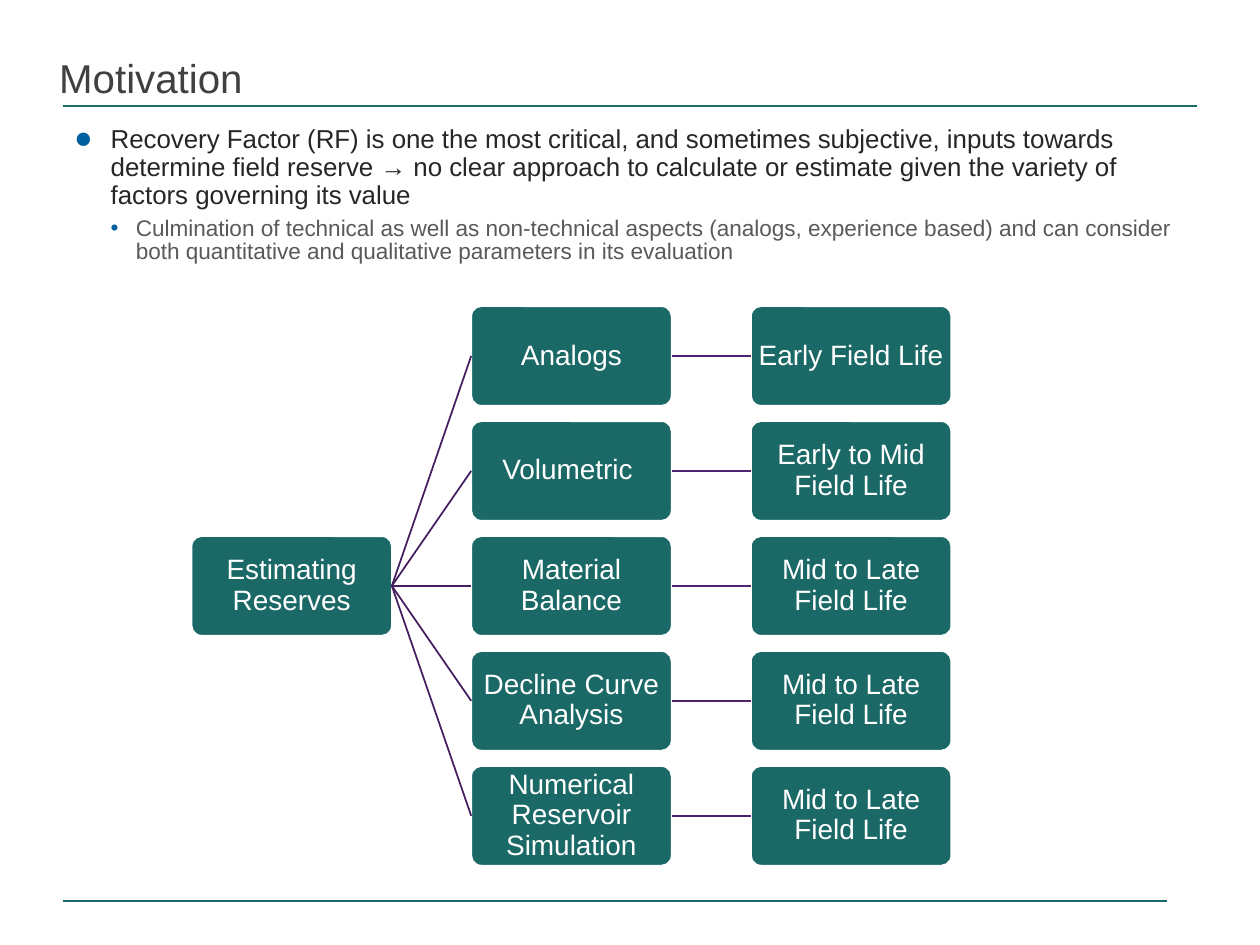
from lxml.etree import SubElement
from pptx import Presentation
from pptx.dml.color import RGBColor
from pptx.enum.shapes import MSO_CONNECTOR as Line, MSO_SHAPE as Shape
from pptx.enum.text import MSO_ANCHOR as Anchor, MSO_AUTO_SIZE as Fit, PP_ALIGN as Align
from pptx.oxml.ns import qn
from pptx.util import Inches, Pt

TEAL = RGBColor(0x1B, 0x69, 0x67)
PLUM = RGBColor(0x44, 0x1E, 0x61)
VIOLET = RGBColor(0x4D, 0x22, 0x6E)
BLUE = RGBColor(0x00, 0x60, 0x9F)
WHITE = RGBColor(0xFF, 0xFF, 0xFF)
INK = RGBColor(0x26, 0x26, 0x26)
DARK = RGBColor(0x40, 0x40, 0x40)
GREY = RGBColor(0x59, 0x59, 0x59)

BOX_W, BOX_H = 1.59, 0.79
COL_X = [1.52, 3.74, 5.96]
TOP, STEP = 2.43, 0.9125

POINTS = [
    # text, size, colour, indent, hang, line spacing, space before, bullet, bullet size
    ("Recovery Factor (RF) is one the most critical, and sometimes subjective, "
     "inputs towards determine field reserve → no clear approach to calculate or "
     "estimate given the variety of factors governing its value",
     14.8, INK, 0.29, 0.29, 0.9, 0, "●", 120),
    ("Culmination of technical as well as non-technical aspects (analogs, "
     "experience based) and can consider both quantitative and qualitative "
     "parameters in its evaluation",
     12.9, GREY, 0.49, 0.2, 0.85, 5, "•", 100),
]
METHODS = [
    ("Analogs", "Early Field Life"),
    ("Volumetric ", "Early to Mid Field Life"),
    ("Material Balance", "Mid to Late Field Life"),
    ("Decline Curve Analysis", "Mid to Late Field Life"),
    ("Numerical Reservoir Simulation", "Mid to Late Field Life"),
]


class Deck:
    def __init__(self, font):
        self.font = font
        self.prs = Presentation()
        self.prs.slide_width, self.prs.slide_height = Inches(10), Inches(7.5)
        self.slide = self.prs.slides.add_slide(self.prs.slide_layouts[5])
        self.shapes = self.slide.shapes

    def style(self, para, size, color, spacing):
        para.line_spacing = spacing
        for run in para.runs:
            run.font.name = self.font
            run.font.size = Pt(size)
            run.font.color.rgb = color

    def title(self, text, x, y, w, h):
        title = self.shapes.title
        title.left, title.top, title.width, title.height = map(Inches, (x, y, w, h))
        frame = title.text_frame
        frame.text = text
        frame.auto_size = Fit.NONE
        frame.vertical_anchor = Anchor.BOTTOM
        frame.margin_top = Inches(0.08)
        para = frame.paragraphs[0]
        para.alignment = Align.LEFT
        self.style(para, 23, DARK, 0.9)

    def bullet(self, para, char, scale, indent, hang):
        props = para._p.get_or_add_pPr()
        props.set("marL", str(Inches(indent)))
        props.set("indent", str(-Inches(hang)))
        color = SubElement(props, qn("a:buClr"))
        SubElement(color, qn("a:srgbClr"), val=str(BLUE))
        SubElement(props, qn("a:buSzPct"), val=str(scale * 1000))
        SubElement(props, qn("a:buFont"), typeface=self.font)
        SubElement(props, qn("a:buChar"), char=char)

    def points(self, items, x, y, w, h):
        frame = self.shapes.add_textbox(*map(Inches, (x, y, w, h))).text_frame
        frame.word_wrap = True
        frame.text = "\n".join(item[0] for item in items)
        for para, item in zip(frame.paragraphs, items):
            _, size, color, indent, hang, spacing, before, char, scale = item
            self.bullet(para, char, scale, indent, hang)
            para.space_before = Pt(before)
            self.style(para, size, color, spacing)

    def box(self, text, x, y):
        box = self.shapes.add_shape(
            Shape.ROUNDED_RECTANGLE, *map(Inches, (x, y, BOX_W, BOX_H)))
        box.adjustments[0] = 0.1
        box.shadow.inherit = False
        box.fill.solid()
        box.fill.fore_color.rgb = TEAL
        box.line.color.rgb = WHITE
        box.line.width = Pt(1)
        frame = box.text_frame
        frame.margin_left = frame.margin_right = Inches(0.01)
        frame.margin_top = frame.margin_bottom = Inches(0.01)
        frame.word_wrap = True
        frame.vertical_anchor = Anchor.MIDDLE
        frame.text = text
        para = frame.paragraphs[0]
        para.alignment = Align.CENTER
        self.style(para, 16, WHITE, 0.9)
        return box

    def line(self, color, x1=0, y1=0, x2=0, y2=0):
        line = self.shapes.add_connector(
            Line.STRAIGHT, *map(Inches, (x1, y1, x2, y2)))
        line.line.color.rgb = color
        line.line.width = Pt(1)
        SubElement(line._element.spPr, qn("a:effectLst"))
        return line

    def link(self, left, right, color):
        """Join the right side of one box to the left side of another."""
        line = self.line(color)
        line.begin_connect(left, 3)
        line.end_connect(right, 1)


def main():
    deck = Deck("Arial")
    deck.line(TEAL, 0.5, 7.15, 9.26, 7.15)
    deck.line(TEAL, 0.5, 0.84, 9.5, 0.84)
    deck.title("Motivation", 0.37, 0.07, 9.15, 0.79)
    deck.points(POINTS, 0.49, 0.95, 9, 1.24)

    root = deck.box("Estimating Reserves", COL_X[0], TOP + 2 * STEP)
    for row, (method, stage) in enumerate(METHODS):
        y = TOP + row * STEP
        left = deck.box(method, COL_X[1], y)
        right = deck.box(stage, COL_X[2], y)
        deck.link(root, left, PLUM)
        deck.link(left, right, VIOLET)
    deck.prs.save("out.pptx")


if __name__ == "__main__":
    main()
